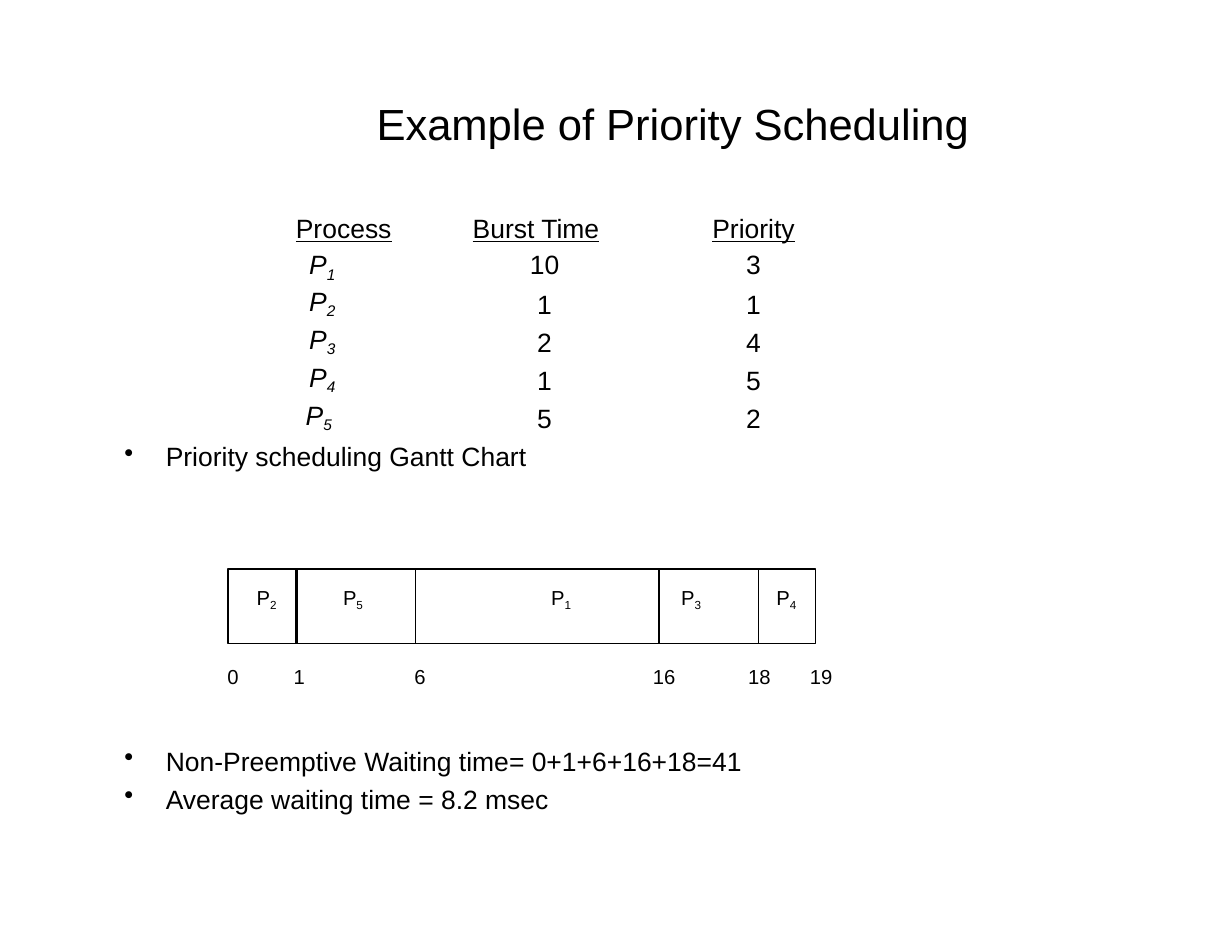
from dataclasses import dataclass
from typing import Optional

import lxml.etree
import pptx
import pptx.dml.color
import pptx.enum.shapes
import pptx.enum.text
import pptx.oxml.ns
import pptx.util
from pptx.util import Cm, Pt

ALIGN = pptx.enum.text.PP_ALIGN


@dataclass(frozen=True)
class Theme:
    font: str = "Arial"
    ink: pptx.dml.color.RGBColor = pptx.dml.color.RGBColor(0, 0, 0)
    title: float = 28
    body: float = 17
    label: float = 13
    outline: float = 1


@dataclass(frozen=True)
class Process:
    number: str
    burst: int
    priority: int
    indent: float = 0.38


@dataclass(frozen=True)
class Segment:
    number: str
    label_x: float
    start: int
    start_x: float
    divider_x: Optional[float] = None
    divider_pt: float = 1


THEME = Theme()
PROCESSES = [
    Process("1", 10, 3), Process("2", 1, 1), Process("3", 2, 4),
    Process("4", 1, 5), Process("5", 5, 2, indent=0.3),
]
SEGMENTS = [
    Segment("2", 5.79, 0, 5.13),
    Segment("5", 7.75, 1, 6.63, 6.73, 1.68),
    Segment("1", 12.47, 6, 9.37, 9.42),
    Segment("3", 15.42, 16, 14.78, 14.94),
    Segment("4", 17.58, 18, 16.94, 17.2),
]
BAR_X, BAR_Y, BAR_W, BAR_H = 5.17, 12.91, 13.33, 1.69
LABEL_Y, TIME_Y = 13.26, 15.04


def set_font(p, size: float) -> None:
    p.font.name = THEME.font
    p.font.size = Pt(size)
    p.font.color.rgb = THEME.ink


def set_indent(p, left: float, first: float = 0) -> None:
    pPr = p._p.get_or_add_pPr()
    pPr.set("marL", str(Cm(left)))
    pPr.set("indent", str(Cm(first)))


def add_name(p, number: str) -> None:
    """Write a process name, P with a subscript number."""
    p.add_run().text = "P"
    r = p.add_run()
    r.text = number
    r._r.get_or_add_rPr().set("baseline", "-20000")


def clear_margins(tf, top: float = 0.02) -> None:
    tf.margin_left = tf.margin_right = tf.margin_bottom = 0
    tf.margin_top = Cm(top)
    tf.vertical_anchor = pptx.enum.text.MSO_ANCHOR.TOP
    tf.word_wrap = True


def add_box(slide, x: float, y: float, w: float, h: float, top: float = 0.02):
    tf = slide.shapes.add_textbox(Cm(x), Cm(y), Cm(w), Cm(h)).text_frame
    clear_margins(tf, top)
    return tf


def add_label(slide, x: float, y: float, w: float):
    p = add_box(slide, x, y, w, 0.64).paragraphs[0]
    p.space_before = Pt(1)
    set_indent(p, 0.03)
    set_font(p, THEME.label)
    return p


def add_time(slide, x: float, time: int) -> None:
    add_label(slide, x, TIME_Y, 0.33 * len(str(time))).add_run().text = str(time)


def add_bullets(slide, y: float, w: float, h: float, top: float,
                lines: list[tuple[str, float]]) -> None:
    tf = add_box(slide, 2.77, y, w, h, top)
    for i, (text, before) in enumerate(lines):
        p = tf.paragraphs[0] if i == 0 else tf.add_paragraph()
        p.space_before = Pt(before)
        set_indent(p, 0.99, -0.94)
        bullet = lxml.etree.SubElement(p._p.get_or_add_pPr(), pptx.oxml.ns.qn("a:buChar"))
        bullet.set("char", "•")
        set_font(p, THEME.body)
        p.add_run().text = text


def add_process_table(slide) -> None:
    heights = [0.76, 0.91, 0.86, 0.86, 0.86, 0.81]
    widths = [3.18, 5.08, 3.23]
    table = slide.shapes.add_table(len(heights), len(widths), Cm(6.63), Cm(4.88),
                                   Cm(sum(widths)), Cm(sum(heights))).table
    table.first_row = table.horz_banding = False
    for column, width in zip(table.columns, widths):
        column.width = Cm(width)
    for row, height in zip(table.rows, heights):
        row.height = Cm(height)

    def start_cell(row: int, column: int, indent: float, align):
        cell = table.cell(row, column)
        cell.fill.background()
        cell.margin_left = cell.margin_right = cell.margin_bottom = 0
        cell.margin_top = Cm(0.05 if row == 1 else 0)
        p = cell.text_frame.paragraphs[0]
        p.alignment = align
        set_indent(p, indent)
        if row == 1:
            p.space_before = Pt(1.1)
        else:
            p.line_spacing = Pt(18.8 if row == 0 else 20)
        set_font(p, THEME.body)
        return p

    headers = [("Process", 0.08, ALIGN.LEFT), ("Burst Time", 0.91, ALIGN.LEFT),
               ("Priority", 1.17, ALIGN.CENTER)]
    for column, (text, indent, align) in enumerate(headers):
        p = start_cell(0, column, indent, align)
        p.font.underline = True
        p.add_run().text = text
    for row, process in enumerate(PROCESSES, start=1):
        p = start_cell(row, 0, process.indent, ALIGN.LEFT)
        p.font.italic = True
        add_name(p, process.number)
        start_cell(row, 1, 0, ALIGN.CENTER).add_run().text = str(process.burst)
        start_cell(row, 2, 1.17, ALIGN.CENTER).add_run().text = str(process.priority)


def add_divider(slide, x: float, width: float) -> None:
    line = slide.shapes.add_connector(pptx.enum.shapes.MSO_CONNECTOR.STRAIGHT,
                                      Cm(x), Cm(BAR_Y), Cm(x), Cm(BAR_Y + BAR_H))
    line.line.color.rgb = THEME.ink
    line.line.width = Pt(width)
    lxml.etree.SubElement(line._element.spPr, pptx.oxml.ns.qn("a:effectLst"))


def add_gantt(slide) -> None:
    bar = slide.shapes.add_shape(pptx.enum.shapes.MSO_SHAPE.RECTANGLE,
                                 Cm(BAR_X), Cm(BAR_Y), Cm(BAR_W), Cm(BAR_H))
    bar.shadow.inherit = False
    bar.fill.background()
    bar.line.color.rgb = THEME.ink
    bar.line.width = Pt(THEME.outline)
    for segment in SEGMENTS:
        if segment.divider_x is not None:
            add_divider(slide, segment.divider_x, segment.divider_pt)
        add_name(add_label(slide, segment.label_x, LABEL_Y, 0.56), segment.number)
        add_time(slide, segment.start_x, segment.start)
    add_time(slide, 18.34, 19)


def main() -> None:
    prs = pptx.Presentation()
    prs.slide_width, prs.slide_height = Cm(27.94), Cm(21.59)
    slide = prs.slides.add_slide(prs.slide_layouts[5])

    # Title
    title = slide.shapes.title
    title.left, title.top, title.width, title.height = Cm(8.51), Cm(2.18), Cm(13.8), Cm(1.27)
    clear_margins(title.text_frame)
    p = title.text_frame.paragraphs[0]
    p.alignment = ALIGN.LEFT
    p.space_before = Pt(1)
    set_indent(p, 0.03)
    set_font(p, THEME.title)
    p.add_run().text = "Example of Priority Scheduling"

    # Process table, Gantt chart and results
    add_process_table(slide)
    add_bullets(slide, 9.96, 9.4, 0.79, 0.02, [("Priority scheduling Gantt Chart", 0.9)])
    add_gantt(slide)
    add_bullets(slide, 16.71, 14.4, 1.8, 0.18, [
        ("Non-Preemptive Waiting time= 0+1+6+16+18=41", 5),
        ("Average waiting time = 8.2 msec", 4.1),
    ])
    prs.save("out.pptx")


if __name__ == "__main__":
    main()
